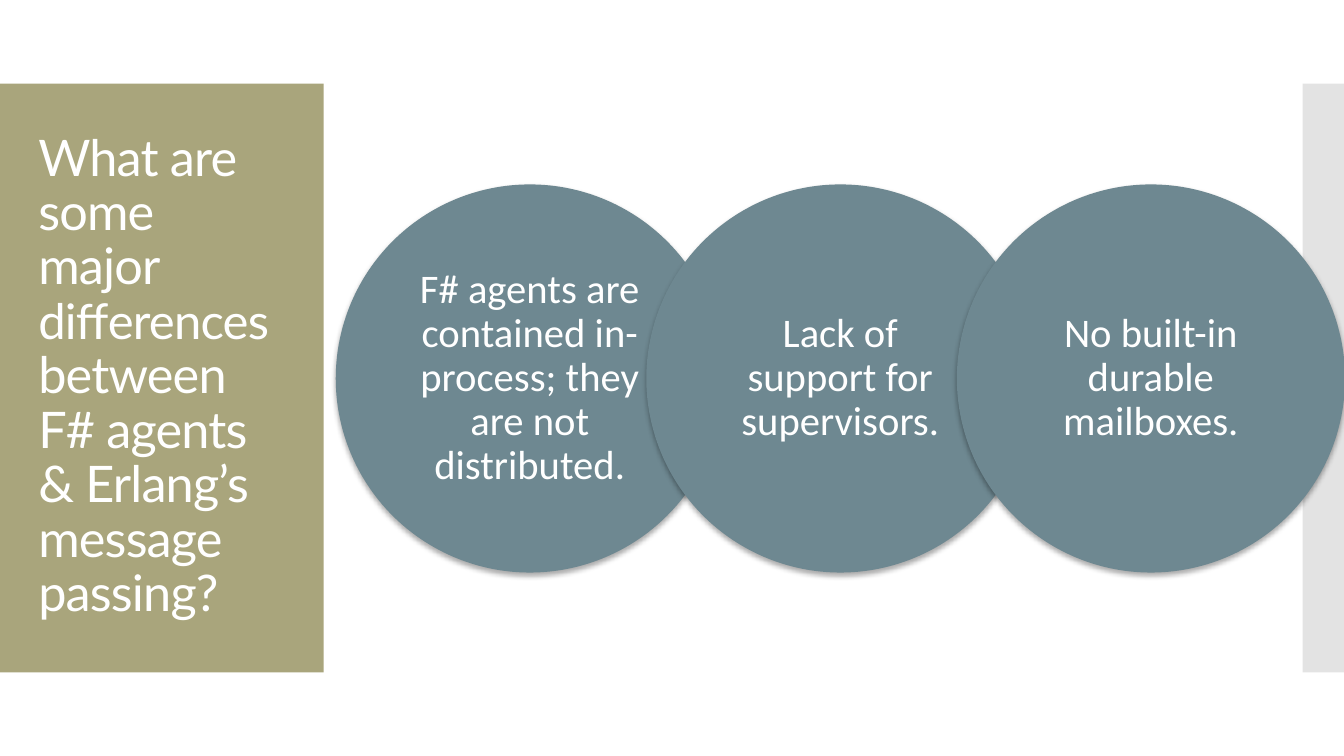
"""Build a slide with a title panel and three overlapping circles of differences."""
from dataclasses import dataclass

import lxml.etree
import pptx
import pptx.dml.color
import pptx.enum.shapes
import pptx.enum.text
import pptx.oxml
import pptx.oxml.ns
import pptx.util

Inches = pptx.util.Inches
Pt = pptx.util.Pt
SHAPES = pptx.enum.shapes.MSO_SHAPE
ALIGN = pptx.enum.text.PP_ALIGN
MIDDLE = pptx.enum.text.MSO_ANCHOR.MIDDLE

WHITE = "FFFFFF"
DIAMETER = 3.85
FIRST_LEFT = 3.33
PITCH = 0.8 * DIAMETER
CIRCLE_TOP = 1.83
SHADOW = (
    f'<a:effectLst {pptx.oxml.ns.nsdecls("a")}>'
    '<a:outerShdw blurRad="44450" dist="27940" dir="5400000" algn="ctr" rotWithShape="0">'
    '<a:srgbClr val="000000"><a:alpha val="32000"/></a:srgbClr>'
    "</a:outerShdw></a:effectLst>"
)


@dataclass(frozen=True)
class Panel:
    """A vertical band behind the slide content."""

    left: float
    width: float
    color: str
    opacity: int = 100


@dataclass(frozen=True)
class TitleRun:
    """A piece of the title in one text size."""

    text: str
    size: int


PANELS = [Panel(0, 3.21, "A9A57C"), Panel(12.92, 0.41, "C8C8C8", 50)]
TITLE = [
    TitleRun("What are some major ", 36),
    TitleRun("differences", 35),
    TitleRun(" between F# agents & Erlang’s message passing?", 36),
]
DIFFERENCES = [
    "F# agents are contained in-process; they are not distributed.",
    "Lack of support for supervisors.",
    "No built-in durable mailboxes.",
]


def rgb(color: str) -> pptx.dml.color.RGBColor:
    """Return the colour for a hex string."""
    return pptx.dml.color.RGBColor.from_string(color)


def format_run(r, font: str, size: int) -> None:
    """Give a run its font, size and white colour."""
    r.font.name = font
    r.font.size = Pt(size)
    r.font.color.rgb = rgb(WHITE)


def add_filled(s, kind, left: float, top: float, width: float, height: float, color: str):
    """Add a flat preset shape without an outline."""
    sp = s.shapes.add_shape(kind, Inches(left), Inches(top), Inches(width), Inches(height))
    sp.shadow.inherit = False
    sp.fill.solid()
    sp.fill.fore_color.rgb = rgb(color)
    sp.line.fill.background()
    return sp


def add_panel(s, panel: Panel) -> None:
    """Add a band behind the title."""
    sp = add_filled(s, SHAPES.RECTANGLE, panel.left, 0.83, panel.width, 5.84, panel.color)
    if panel.opacity < 100:
        clr = sp.element.spPr.find(".//" + pptx.oxml.ns.qn("a:srgbClr"))
        alpha = lxml.etree.SubElement(clr, pptx.oxml.ns.qn("a:alpha"))
        alpha.set("val", str(panel.opacity * 1000))
    s.shapes.title.element.addprevious(sp.element)


def fill_title(s) -> None:
    """Place and format the title placeholder."""
    sp = s.shapes.title
    sp.left, sp.top = Inches(0.28), Inches(1.23)
    sp.width, sp.height = Inches(2.64), Inches(5.03)
    tf = sp.text_frame
    tf.word_wrap = True
    tf.auto_size = pptx.enum.text.MSO_AUTO_SIZE.NONE
    tf.vertical_anchor = MIDDLE
    p = tf.paragraphs[0]
    p.alignment = ALIGN.LEFT
    p.line_spacing = 0.9
    for piece in TITLE:
        r = p.add_run()
        r.text = piece.text
        format_run(r, "Lato", piece.size)
        r.font.element.set("spc", "-60") if hasattr(r.font, "element") else r._r.get_or_add_rPr().set("spc", "-60")


def add_circle(s, index: int, text: str) -> None:
    """Add one shadowed circle with its difference."""
    left = FIRST_LEFT + index * PITCH
    sp = add_filled(s, SHAPES.OVAL, left, CIRCLE_TOP, DIAMETER, DIAMETER, "6E8891")
    spPr = sp.element.spPr
    spPr.replace(spPr.find(pptx.oxml.ns.qn("a:effectLst")), pptx.oxml.parse_xml(SHADOW))
    tf = sp.text_frame
    tf.word_wrap = True
    tf.vertical_anchor = MIDDLE
    tf.margin_left = tf.margin_right = Inches(0.21)
    tf.margin_top = tf.margin_bottom = Inches(0.04)
    tf.text = text
    p = tf.paragraphs[0]
    p.alignment = ALIGN.CENTER
    p.line_spacing = 0.9
    format_run(p.runs[0], "Calibri", 29)


def main() -> None:
    """Build and save the slide."""
    prs = pptx.Presentation()
    prs.slide_width, prs.slide_height = Inches(13.33), Inches(7.5)
    s = prs.slides.add_slide(prs.slide_layouts[5])
    for panel in PANELS:
        add_panel(s, panel)
    fill_title(s)
    for i, text in enumerate(DIFFERENCES):
        add_circle(s, i, text)
    prs.save("out.pptx")


if __name__ == "__main__":
    main()
